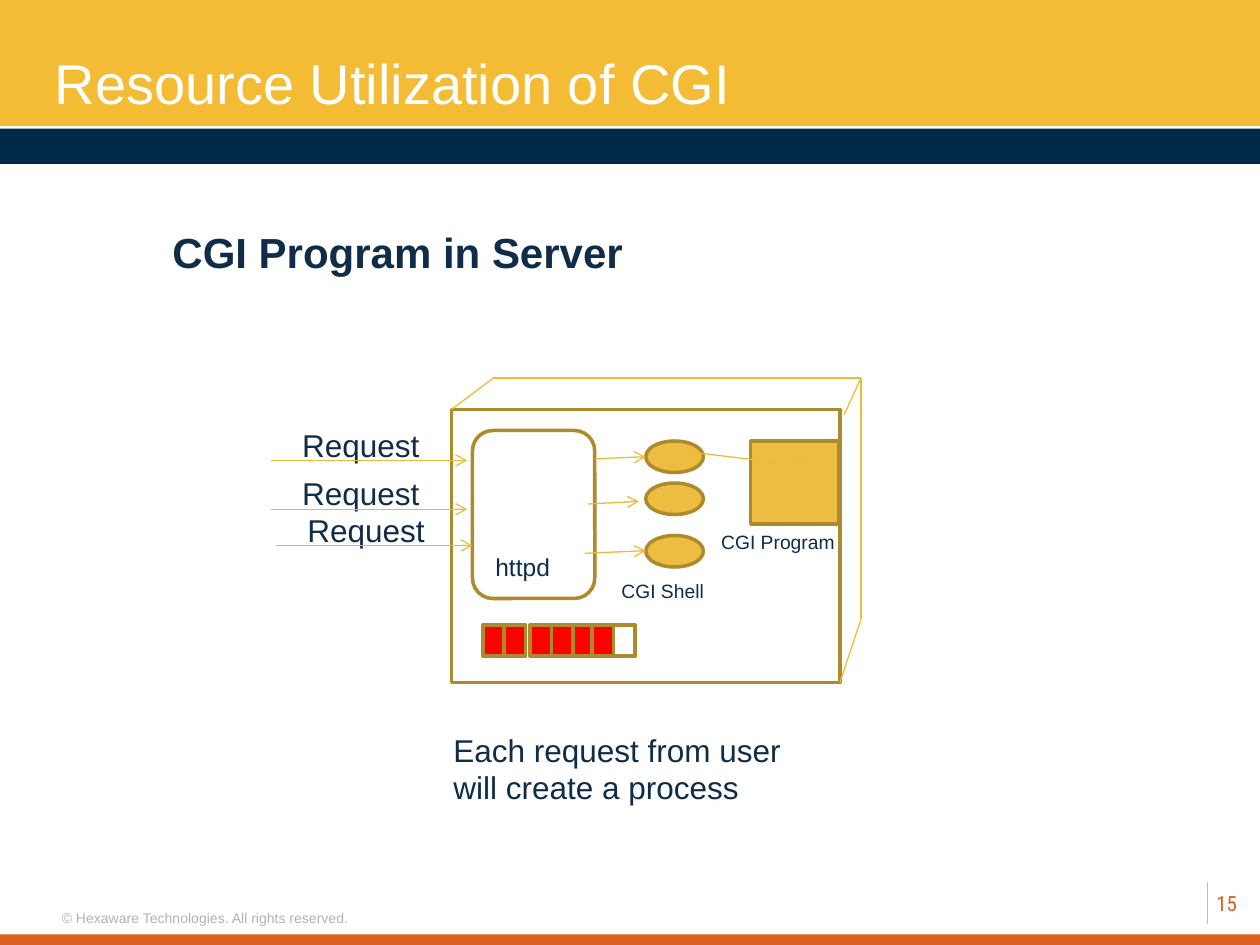
import pptx
from dataclasses import dataclass
from lxml import etree
from pptx.dml.color import RGBColor
from pptx.enum.shapes import MSO_CONNECTOR, MSO_SHAPE
from pptx.enum.text import MSO_ANCHOR, MSO_AUTO_SIZE, PP_ALIGN
from pptx.oxml.ns import qn
from pptx.util import Inches, Pt


@dataclass(frozen=True)
class Theme:
    gold: str = "F4BB34"
    navy: str = "002A4A"
    orange: str = "DD6021"
    ink: str = "0F2C48"
    white: str = "FFFFFF"
    grey: str = "B0B3B2"
    wire: str = "EBBB3A"
    node: str = "ECBD40"
    edge: str = "AD8A2C"
    busy: str = "FF0000"
    font: str = "Arial"
    number_font: str = "Roboto Condensed"
    title: int = 32
    heading: int = 24
    body: int = 18
    label: int = 14
    small: int = 11
    number: int = 12
    footer: int = 8
    edge_width: float = 2
    wire_width: float = 0.75


THEME = Theme()

# All places are in grid units: the slide is 240 columns by 180 rows.
COLUMNS, ROWS = 240, 180
WIDTH, HEIGHT = Inches(10), Inches(7.5)

TITLE = ("Resource Utilization of CGI", (8, 8, 222, 15.4))
BANDS = [
    ((0, 0, COLUMNS, 24), THEME.gold),
    ((0, 24.5, COLUMNS, 6.7), THEME.navy),
    ((0, 178, COLUMNS, 2), THEME.orange),
]
FOOTER_RULE = [(230, 168), (230, 176)]
PAGE_NUMBER = ("15", (228, 168, 10, 8))
COPYRIGHT = ("© Hexaware Technologies. All rights reserved.", (9.4, 172, 60.8, 5.8))
HEADING = ("CGI Program in Server", (30.5, 42, 90.5, 12))
CAPTION = ("Each request from user will create a process", (84, 138, 76, 16.8))

SERVER = (86, 78, 74, 52)
SERVER_DEPTH = [(86, 78), (94, 72), (164, 72), (164, 118), (160, 130)]
SERVER_CORNER = [(160.8, 79), (164, 72)]
HTTPD = (90, 82, 23.3, 32)
PROGRAM = (143, 84, 16.8, 15.8)
SHELL_LEFT, SHELL_SIZE = 123, (11, 6)
SHELL_ROWS = [84, 92, 102]
LABELS = [
    ("httpd", (92, 104, 16.4, 8.2), THEME.label),
    ("CGI Shell", (116, 109.2, 26.4, 7), THEME.small),
    ("CGI Program", (135, 99.9, 38, 7), THEME.small),
]

METER_ROW, METER_CELL = 119, (4.1, 6)
METER_COLUMNS = [92, 96, 101, 105.1, 109.2, 112.8, 116.9]
METER_BUSY = 6

REQUEST = "Request"
REQUEST_STARTS = [(51.6, 87.7), (51.6, 97), (52.6, 103.9)]
REQUEST_LENGTH = 37.4
REQUEST_TEXT = (3.6, -7.8, 30, 9.6)  # offset from the arrow start, then size
PROCESS_ARROWS = [
    [(113.3, 87.4), (123, 87)],
    [(132.2, 86.2), (154, 88.8)],
    [(112, 96), (121.7, 95.5)],
    [(111.4, 105.4), (123, 104.9)],
]

deck = pptx.Presentation()
deck.slide_width, deck.slide_height = WIDTH, HEIGHT
slide = deck.slides.add_slide(deck.slide_layouts[5])


def x(columns):
    return round(WIDTH * columns / COLUMNS)


def y(rows):
    return round(HEIGHT * rows / ROWS)


def place(box):
    left, top, width, height = box
    return x(left), y(top), x(width), y(height)


def add_block(kind, box, fill=None, edge=None):
    block = slide.shapes.add_shape(kind, *place(box))
    block.shadow.inherit = False
    if fill:
        block.fill.solid()
        block.fill.fore_color.rgb = RGBColor.from_string(fill)
    else:
        block.fill.background()
    if edge:
        block.line.color.rgb = RGBColor.from_string(edge)
        block.line.width = Pt(THEME.edge_width)
    else:
        block.line.fill.background()


def add_wire(start, end, color=THEME.wire, arrow=False):
    wire = slide.shapes.add_connector(
        MSO_CONNECTOR.STRAIGHT, x(start[0]), y(start[1]), x(end[0]), y(end[1]))
    wire.line.color.rgb = RGBColor.from_string(color)
    wire.line.width = Pt(THEME.wire_width)
    if arrow:
        etree.SubElement(wire.line._get_or_add_ln(), qn("a:tailEnd"), type="arrow")
    etree.SubElement(wire.element.spPr, qn("a:effectLst"))


def write(holder, text, size, color=THEME.ink, font=THEME.font, bold=False,
          wrap=True, align=PP_ALIGN.LEFT, anchor=MSO_ANCHOR.TOP):
    frame = holder.text_frame
    frame.text = text
    frame.word_wrap = wrap
    frame.auto_size = MSO_AUTO_SIZE.NONE
    frame.vertical_anchor = anchor
    paragraph = frame.paragraphs[0]
    paragraph.alignment = align
    for run in paragraph.runs:
        run.font.size = Pt(size)
        run.font.name = font
        run.font.bold = bold
        run.font.color.rgb = RGBColor.from_string(color)


def add_text(text, box, size, **style):
    write(slide.shapes.add_textbox(*place(box)), text, size, **style)


def draw_frame():
    for box, fill in BANDS:
        add_block(MSO_SHAPE.RECTANGLE, box, fill)
    add_wire(*FOOTER_RULE, color=THEME.gold)
    add_text(*PAGE_NUMBER, THEME.number, color=THEME.orange,
             font=THEME.number_font, align=PP_ALIGN.RIGHT, anchor=MSO_ANCHOR.MIDDLE)
    add_text(*COPYRIGHT, THEME.footer, color=THEME.grey, wrap=False)

    title = slide.shapes.title
    title.left, title.top, title.width, title.height = place(TITLE[1])
    write(title, TITLE[0], THEME.title, color=THEME.white)
    title.element.getparent().append(title.element)  # in front of the top band


def draw_server():
    add_block(MSO_SHAPE.FLOWCHART_PROCESS, SERVER, edge=THEME.edge)
    for start, end in zip(SERVER_DEPTH, SERVER_DEPTH[1:]):
        add_wire(start, end)
    add_wire(*SERVER_CORNER)
    add_block(MSO_SHAPE.ROUNDED_RECTANGLE, HTTPD, edge=THEME.edge)
    add_block(MSO_SHAPE.FLOWCHART_PROCESS, PROGRAM, THEME.node, THEME.edge)
    for row in SHELL_ROWS:
        add_block(MSO_SHAPE.OVAL, (SHELL_LEFT, row, *SHELL_SIZE), THEME.node, THEME.edge)
    for index, column in enumerate(METER_COLUMNS):
        add_block(MSO_SHAPE.FLOWCHART_PROCESS, (column, METER_ROW, *METER_CELL),
                  THEME.busy if index < METER_BUSY else None, THEME.edge)
    for start, end in PROCESS_ARROWS:
        add_wire(start, end, arrow=True)
    for text, box, size in LABELS:
        add_text(text, box, size)


def draw_requests():
    right, down, *size = REQUEST_TEXT
    for column, row in REQUEST_STARTS:
        add_text(REQUEST, (column + right, row + down, *size), THEME.body)
        add_wire((column, row), (column + REQUEST_LENGTH, row), arrow=True)


draw_frame()
add_text(*HEADING, THEME.heading, bold=True, wrap=False)
draw_server()
draw_requests()
add_text(*CAPTION, THEME.body)
deck.save("out.pptx")
